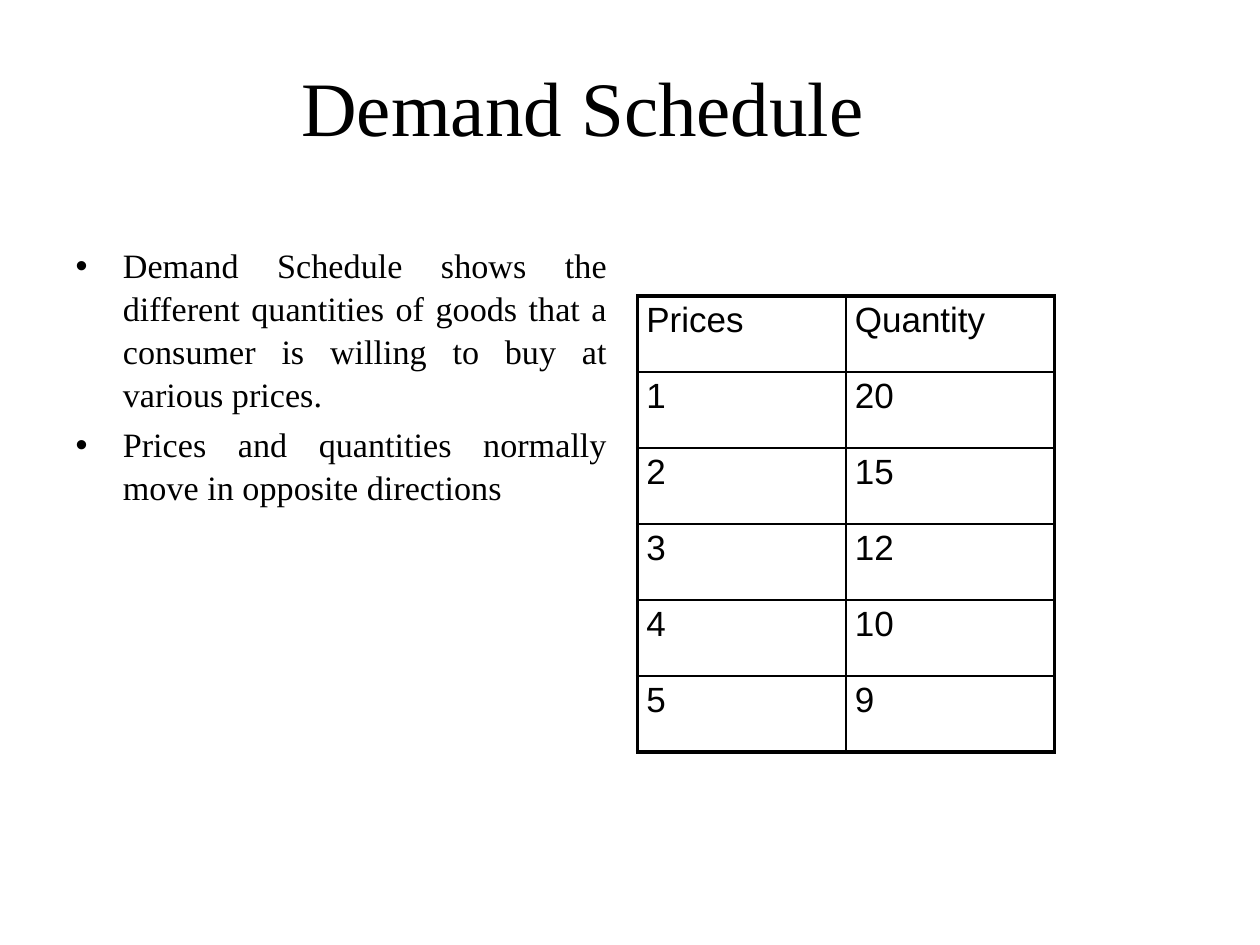
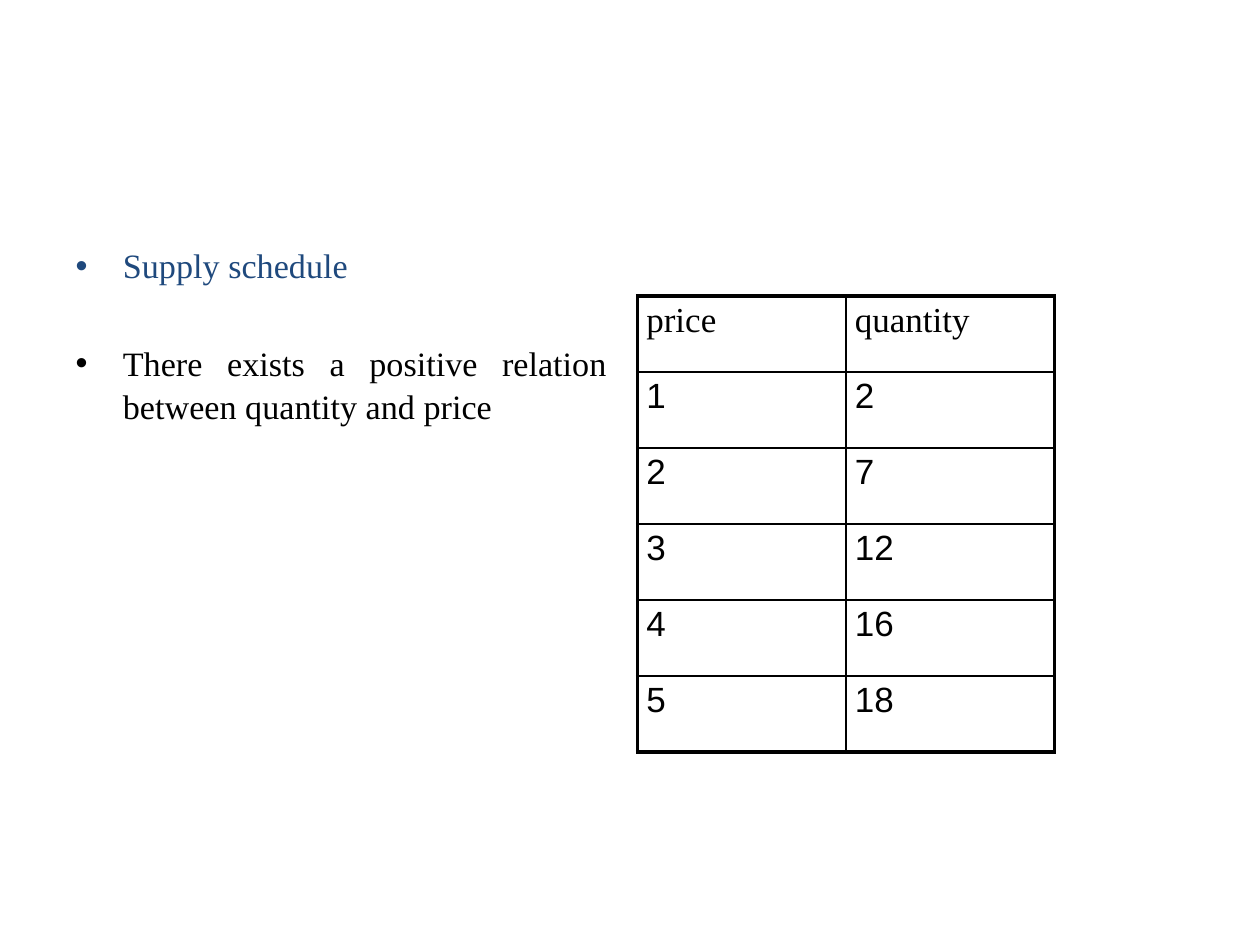
from lxml.etree import SubElement as add_node
from pptx import Presentation
from pptx.dml.color import RGBColor as Rgb
from pptx.enum.text import MSO_ANCHOR as Anchor, MSO_AUTO_SIZE as AutoSize, PP_ALIGN as Align
from pptx.oxml.ns import qn
from pptx.util import Inches, Pt

COLORS = {"ink": "000000", "accent": "1F497D"}
SERIF, SANS = "Times New Roman", "Arial"
TITLE_AREA = (0.05, 0.017, 0.825, 0.19)
LIST_AREA = (0.05, 0.25, 0.442, 0.643)
TABLE_AREA = (0.506, 0.313, 0.331, 0.483)
OUTER, INNER = 2.25, 1


class ScheduleDeck:
    """Hold the shared style and the slide being filled."""

    def __init__(self):
        """Start an empty deck of 10 by 7.5 inches."""
        self.deck = Presentation()
        self.deck.slide_width, self.deck.slide_height = Inches(10), Inches(7.5)
        self.page = None

    def add_page(self):
        """Begin a slide with a title and a list."""
        self.page = self.deck.slides.add_slide(self.deck.slide_layouts[1])

    def area(self, shares):
        """Turn shares of the slide into lengths."""
        sides = (self.deck.slide_width, self.deck.slide_height) * 2
        return [round(share * side) for share, side in zip(shares, sides)]

    def place(self, box, shares):
        """Move a box to its area."""
        box.left, box.top, box.width, box.height = self.area(shares)

    def style(self, para, size, font, color="ink"):
        """Format every run of a paragraph."""
        for span in para.runs:
            span.font.size, span.font.name = Pt(size), font
            span.font.color.rgb = Rgb.from_string(COLORS[color])

    def title(self, text=None):
        """Fill the title, or drop it when there is no text."""
        box = self.page.shapes.title
        if text is None:
            box.element.getparent().remove(box.element)
            return
        self.place(box, TITLE_AREA)
        frame = box.text_frame
        frame.text = text
        frame.vertical_anchor = Anchor.MIDDLE
        frame.paragraphs[0].alignment = Align.CENTER
        self.style(frame.paragraphs[0], 44, SERIF)

    def bullets(self, items):
        """Fill the list from (text, colour, alignment, space before)."""
        box = self.page.placeholders[1]
        self.place(box, LIST_AREA)
        frame = box.text_frame
        frame.auto_size = AutoSize.NONE
        frame.text = "\n".join(item[0] for item in items)
        for para, (_, color, alignment, gap) in zip(frame.paragraphs, items):
            para.alignment, para.space_before = alignment, Pt(gap)
            para.line_spacing = 1.05
            self.style(para, 19.5, SERIF, color)

    def borders(self, cell, widths):
        """Draw the four sides of a cell."""
        properties = cell._tc.get_or_add_tcPr()
        for side, width in widths.items():
            line = add_node(properties, qn(f"a:ln{side}"), w=str(Pt(width)))
            fill = add_node(line, qn("a:solidFill"))
            add_node(fill, qn("a:srgbClr"), val=COLORS["ink"])

    def table(self, rows, header_font):
        """Add a framed table with equal rows and columns."""
        last_row, last_column = len(rows) - 1, len(rows[0]) - 1
        area = self.area(TABLE_AREA)
        grid = self.page.shapes.add_table(len(rows), len(rows[0]), *area).table
        grid.first_row = grid.horz_banding = False
        for r, values in enumerate(rows):
            for c, value in enumerate(values):
                cell = grid.cell(r, c)
                cell.text = str(value)
                cell.margin_left = cell.margin_right = Inches(0.07)
                cell.margin_top = cell.margin_bottom = Inches(0.04)
                self.style(cell.text_frame.paragraphs[0], 20, SANS if r else header_font)
                edges = {"L": c == 0, "R": c == last_column, "T": r == 0, "B": r == last_row}
                self.borders(cell, {side: OUTER if edge else INNER for side, edge in edges.items()})
                cell.fill.background()


def main():
    """Build the demand and supply slides."""
    show = ScheduleDeck()

    show.add_page()
    show.title("Demand Schedule")
    show.bullets([
        ("Demand Schedule shows the different quantities of goods that a consumer "
         "is willing to buy at various prices.", "ink", Align.JUSTIFY, 4),
        ("Prices and quantities normally move in opposite directions", "ink", Align.JUSTIFY, 4),
    ])
    show.table([("Prices", "Quantity"), (1, 20), (2, 15), (3, 12), (4, 10), (5, 9)], SANS)

    show.add_page()
    show.title()
    show.bullets([
        ("Supply schedule", "accent", Align.LEFT, 4),
        ("There exists a positive relation between quantity and price", "ink", Align.JUSTIFY, 31),
    ])
    show.table([("price", "quantity"), (1, 2), (2, 7), (3, 12), (4, 16), (5, 18)], SERIF)

    show.deck.save("out.pptx")


if __name__ == "__main__":
    main()
